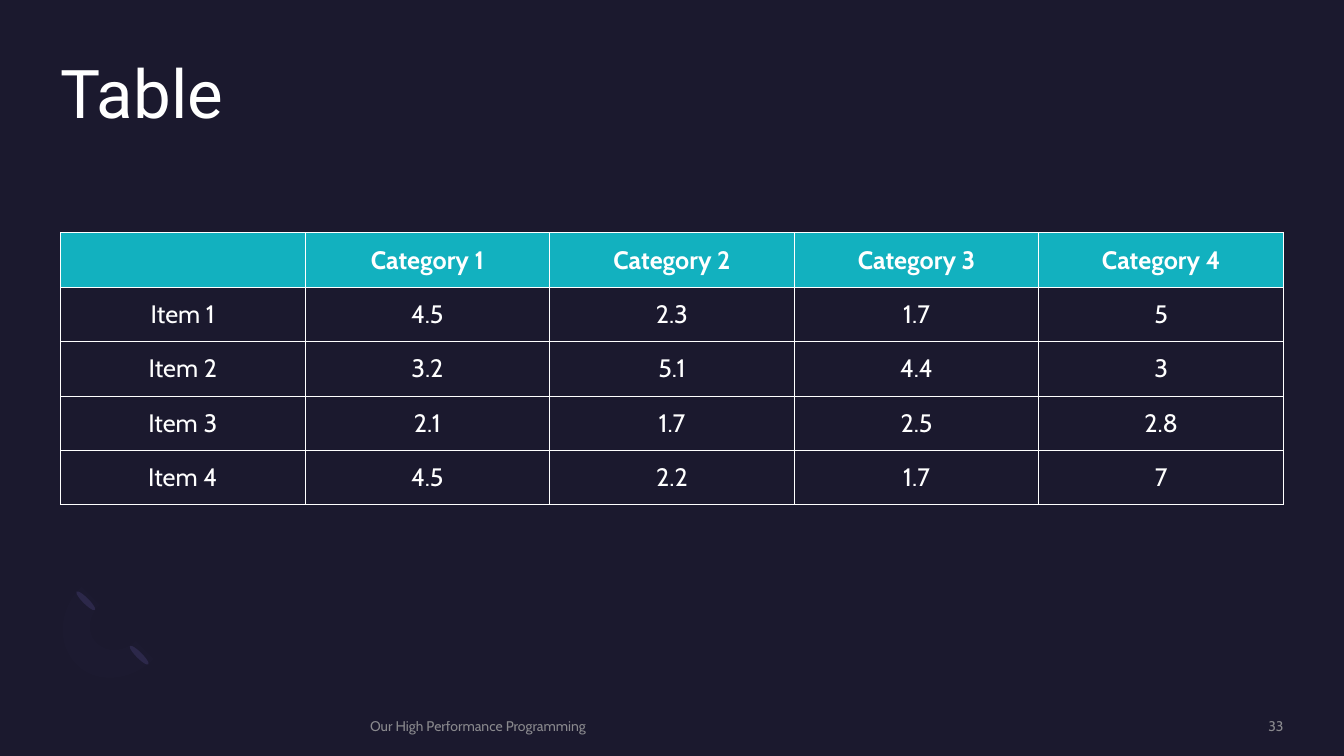
from lxml.etree import SubElement
from pptx import Presentation
from pptx.dml.color import RGBColor
from pptx.enum.shapes import MSO_SHAPE
from pptx.enum.text import MSO_ANCHOR, PP_ALIGN
from pptx.oxml.ns import qn
from pptx.util import Inches, Pt

WIDTH, HEIGHT = 13.33, 7.5
MARGIN = WIDTH * 0.045
CONTENT_WIDTH = WIDTH - 2 * MARGIN
TABLE_TOP = HEIGHT * 0.308
ROW_HEIGHT = HEIGHT * 0.072
FOOTER_TOP = HEIGHT * 0.949
FOOTER_HEIGHT = 0.17

NIGHT = RGBColor(0x1B, 0x19, 0x2E)
INDIGO = RGBColor(0x2C, 0x28, 0x4A)
LAVENDER = RGBColor(0x77, 0x71, 0xB2)
TEAL = RGBColor(0x12, 0xB1, 0xBF)
WHITE = RGBColor(0xFF, 0xFF, 0xFF)
GREY = RGBColor(0xA6, 0xA6, 0xA6)

ROWS = [
    ["", "Category 1", "Category 2", "Category 3", "Category 4"],
    ["Item 1", "4.5", "2.3", "1.7", "5"],
    ["Item 2", "3.2", "5.1", "4.4", "3"],
    ["Item 3", "2.1", "1.7", "2.5", "2.8"],
    ["Item 4", "4.5", "2.2", "1.7", "7"],
]
OUTER_CURVES = [
    [(1.52, 6.54), (1.3, 6.76), (0.95, 6.79), (0.76, 6.59)],
    [(0.76, 6.59), (0.56, 6.39), (0.58, 6.05), (0.81, 5.82)],
]
INNER_CURVES = [
    [(0.99, 6), (0.87, 6.11), (0.86, 6.29), (0.96, 6.38)],
    [(0.96, 6.38), (1.06, 6.48), (1.23, 6.47), (1.35, 6.36)],
]


def set_alpha(fill, percent):
    """Make a solid fill partly transparent."""
    color = fill._xPr.find(qn("a:solidFill"))[0]
    SubElement(color, qn("a:alpha"), val=str(percent * 1000))


def format_text(frame, font_name, size, color, align=PP_ALIGN.LEFT, bold=False):
    """Give every run of a text frame one look."""
    for para in frame.paragraphs:
        para.alignment = align
        for span in para.runs:
            span.font.name = font_name
            span.font.size = Pt(size)
            span.font.bold = bold
            span.font.fill.solid()
            span.font.color.rgb = color


def clear_insets(frame):
    """Remove the inner margins of a text frame."""
    frame.margin_left = frame.margin_right = 0
    frame.margin_top = frame.margin_bottom = 0
    frame.word_wrap = True


def paint(shape, color):
    """Fill a shape flatly, without line or shadow."""
    shape.shadow.inherit = False
    shape.fill.solid()
    shape.fill.fore_color.rgb = color
    shape.line.fill.background()


def curve_points(curve, steps=12):
    """Return points along a cubic curve, start and end included."""
    points = []
    for step in range(steps + 1):
        t = step / steps
        weights = ((1 - t) ** 3, 3 * t * (1 - t) ** 2, 3 * t * t * (1 - t), t ** 3)
        points.append(tuple(
            Inches(sum(w * point[axis] for w, point in zip(weights, curve)))
            for axis in (0, 1)
        ))
    return points


def add_ring(page):
    """Draw the faint half ring and its two elliptical ends."""
    start, *points = [
        point for curve in OUTER_CURVES + INNER_CURVES for point in curve_points(curve)
    ]
    builder = page.shapes.build_freeform(*start)
    builder.add_line_segments(points, close=True)
    ring = builder.convert_to_shape()
    paint(ring, LAVENDER)
    set_alpha(ring.fill, 2)
    for left, top in ((1.35, 6.37), (0.82, 5.83)):
        end = page.shapes.add_shape(
            MSO_SHAPE.OVAL, Inches(left), Inches(top), Inches(0.06), Inches(0.26)
        )
        end.rotation = 135
        paint(end, INDIGO)


def add_title(page, text):
    """Place and format the title placeholder."""
    title = page.shapes.title
    title.left, title.top = Inches(MARGIN), Inches(HEIGHT * 0.08)
    title.width, title.height = Inches(CONTENT_WIDTH), Inches(HEIGHT * 0.195)
    frame = title.text_frame
    frame.text = text
    clear_insets(frame)
    frame.vertical_anchor = MSO_ANCHOR.TOP
    frame.paragraphs[0].line_spacing = 0.9
    format_text(frame, "Roboto", 48, WHITE)


def add_borders(cell):
    """Draw thin white lines on all four sides of a cell."""
    properties = cell._tc.get_or_add_tcPr()
    for side in ("lnL", "lnR", "lnT", "lnB"):
        line = SubElement(properties, qn(f"a:{side}"), w=str(Pt(0.75)))
        solid = SubElement(line, qn("a:solidFill"))
        SubElement(solid, qn("a:srgbClr"), val=str(WHITE))


def add_data_table(page, rows):
    """Add the table with a teal header row."""
    table = page.shapes.add_table(
        len(rows), len(rows[0]), Inches(MARGIN), Inches(TABLE_TOP),
        Inches(CONTENT_WIDTH), Inches(ROW_HEIGHT * len(rows)),
    ).table
    table.horz_banding = False
    for row_index, values in enumerate(rows):
        is_header = row_index == 0
        for column_index, value in enumerate(values):
            cell = table.cell(row_index, column_index)
            add_borders(cell)
            if is_header:
                cell.fill.solid()
                cell.fill.fore_color.rgb = TEAL
            else:
                cell.fill.background()
            cell.vertical_anchor = MSO_ANCHOR.MIDDLE
            cell.text_frame.text = value
            format_text(cell.text_frame, "Cabin", 18, WHITE, PP_ALIGN.CENTER, is_header)


def add_footer(page, text, left, width, align):
    """Add one small grey text at the foot of the slide."""
    box = page.shapes.add_textbox(
        Inches(left), Inches(FOOTER_TOP), Inches(width), Inches(FOOTER_HEIGHT)
    )
    frame = box.text_frame
    frame.text = text
    clear_insets(frame)
    frame.vertical_anchor = MSO_ANCHOR.MIDDLE
    format_text(frame, "Cabin", 10, GREY, align)
    set_alpha(frame.paragraphs[0].runs[0].font.fill, 80)


def main():
    """Build the slide and save it."""
    deck = Presentation()
    deck.slide_width, deck.slide_height = Inches(WIDTH), Inches(HEIGHT)
    page = deck.slides.add_slide(deck.slide_layouts[5])
    page.background.fill.solid()
    page.background.fill.fore_color.rgb = NIGHT
    add_ring(page)
    add_title(page, "Table")
    add_data_table(page, ROWS)
    add_footer(page, "Our High Performance Programming", 3.67, 6.98, PP_ALIGN.LEFT)
    add_footer(page, "33", 10.88, 1.85, PP_ALIGN.RIGHT)
    deck.save("out.pptx")


if __name__ == "__main__":
    main()
